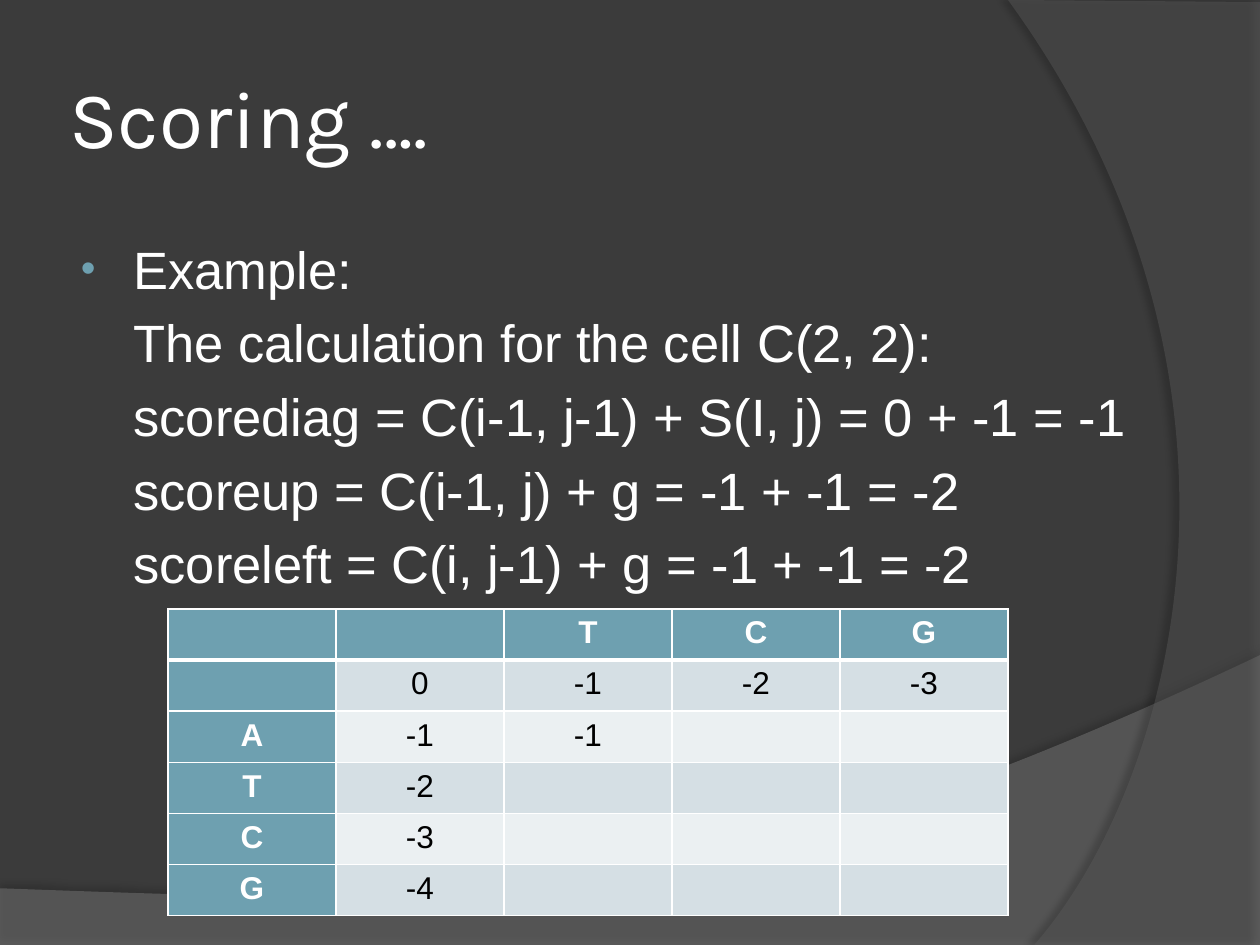
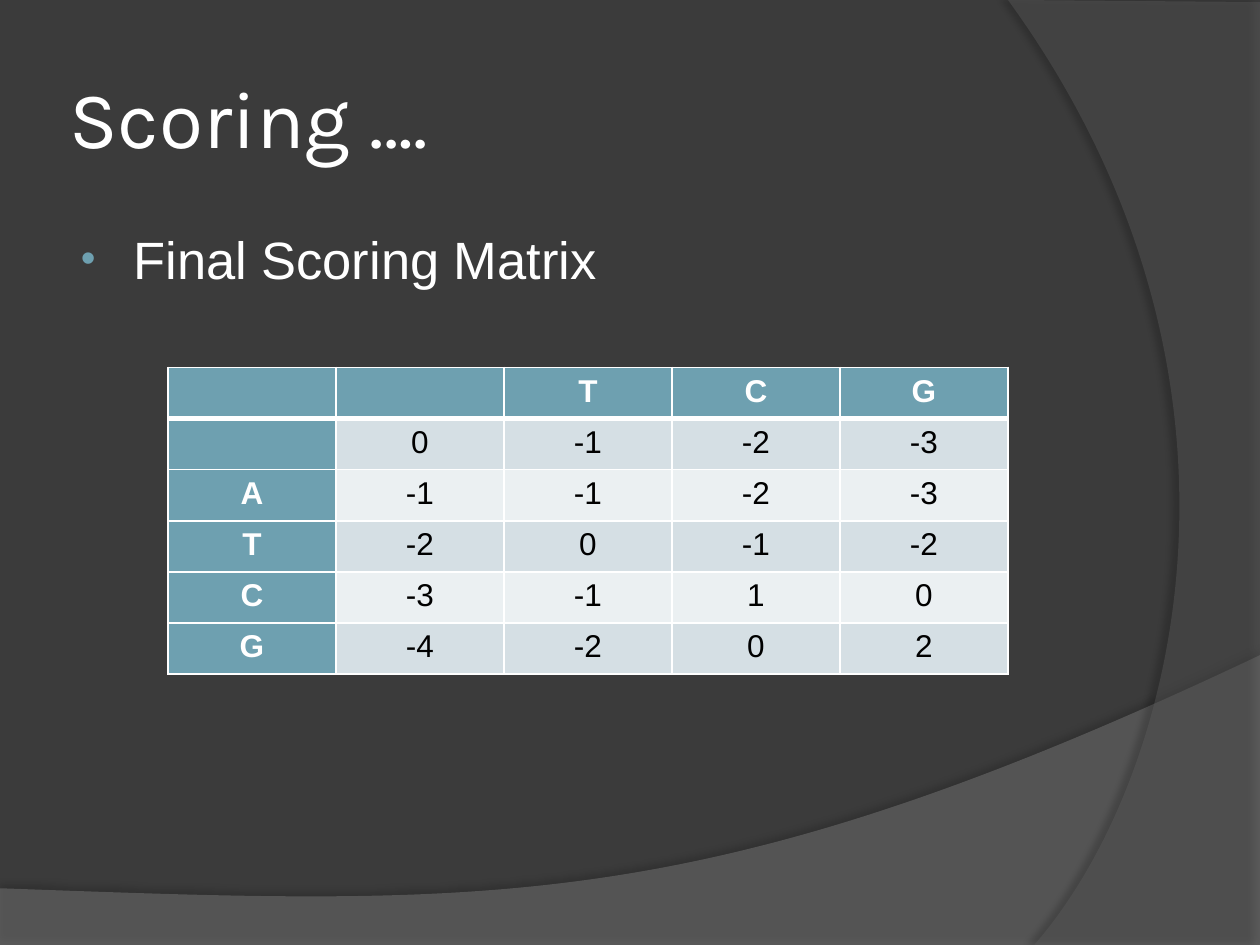
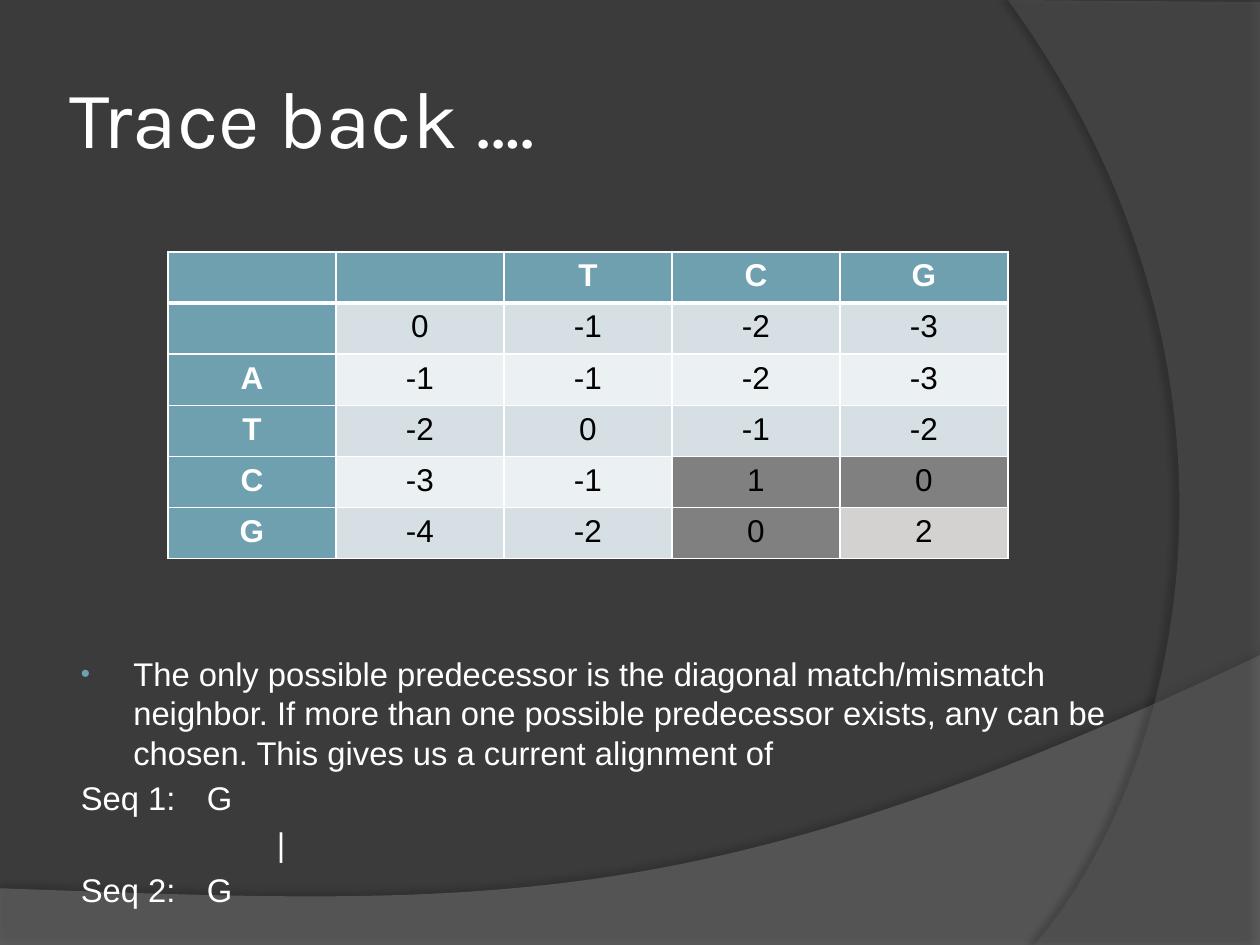
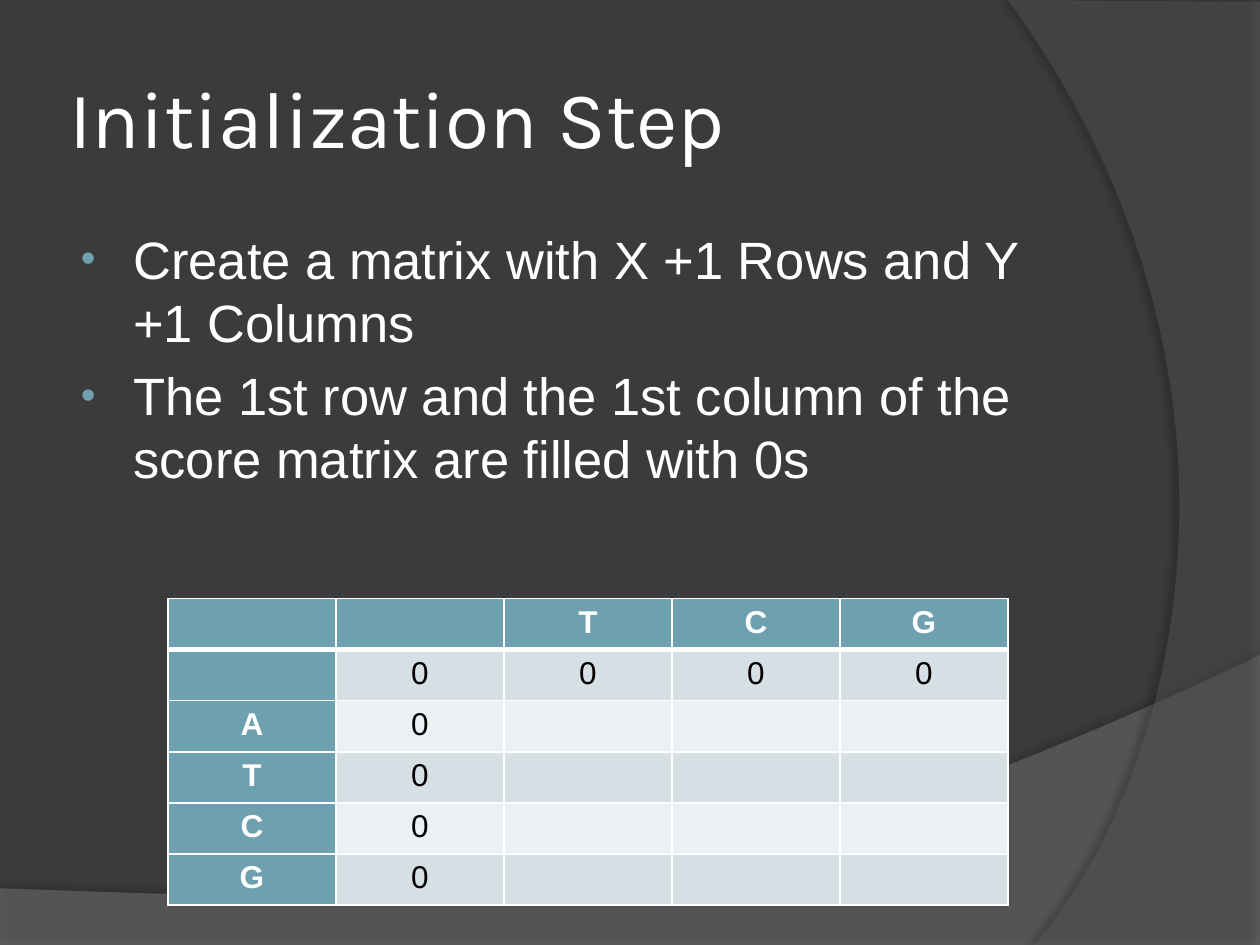
"""Build four slides on scoring and tracing back a sequence alignment matrix."""
from lxml import etree
from pptx import Presentation
from pptx.dml.color import RGBColor
from pptx.enum.text import MSO_ANCHOR, MSO_AUTO_SIZE, PP_ALIGN
from pptx.oxml.ns import qn
from pptx.util import Pt

LEFT, CENTER = PP_ALIGN.LEFT, PP_ALIGN.CENTER
TOP, MIDDLE = MSO_ANCHOR.TOP, MSO_ANCHOR.MIDDLE
NO_AUTOFIT = MSO_AUTO_SIZE.NONE

WIDTH, HEIGHT = 720, 540
BACKGROUND, WHITE, BLACK = "3B3B3B", "FFFFFF", "000000"
ACCENT, BAND_DARK, BAND_LIGHT = "6EA0B0", "D5DFE4", "EBF0F2"
CANDIDATE, CURRENT = "808080", "D4D2D0"
TITLE_FONT, BODY_FONT = "Karla", "Arial"
TITLE_BOX = (36, 21.6, 588, 90)
TABLE_LEFT, COLUMN_WIDTH, ROW_HEIGHT = 96, 96, 29.2
INSET, BULLET_MARGIN, HANGING = 3.6, 33, 30
PLAIN_MARGIN, TAB_STOP, MARK_MARGIN = 3, 69, 115


def color(hex_code):
    return RGBColor.from_string(hex_code)


def add_element(parent, tag, **attributes):
    element = etree.SubElement(parent, qn(tag))
    for name, value in attributes.items():
        element.set(name, str(value))
    return element


HEADER = ["", "", "T", "C", "G"]
FINAL_MATRIX = [
    HEADER,
    ["", "0", "-1", "-2", "-3"],
    ["A", "-1", "-1", "-2", "-3"],
    ["T", "-2", "0", "-1", "-2"],
    ["C", "-3", "-1", "1", "0"],
    ["G", "-4", "-2", "0", "2"],
]
FIRST_CELL_MATRIX = [
    row if index < 2 else row[:2] + [row[2] if index == 2 else "", "", ""]
    for index, row in enumerate(FINAL_MATRIX)
]
ZERO_MATRIX = [HEADER, [""] + ["0"] * 4] + [[base, "0", "", "", ""] for base in "ATCG"]

# Each line of a body is (text, left margin, whether it has a bullet).
DECK = [
    {
        "title": "Scoring ….",
        "body_box": (36, 131.8, 648, 396),
        "top_inset": INSET,
        "size": 30,
        "lines": [
            ("Example:", BULLET_MARGIN, True),
            ("The calculation for the cell C(2, 2):", BULLET_MARGIN, False),
            ("scorediag = C(i-1, j-1) + S(I, j) = 0 + -1 = -1", BULLET_MARGIN, False),
            ("scoreup = C(i-1, j) + g = -1 + -1 = -2", BULLET_MARGIN, False),
            ("scoreleft = C(i, j-1) + g = -1 + -1 = -2", BULLET_MARGIN, False),
        ],
        "table_top": 348,
        "matrix": FIRST_CELL_MATRIX,
        "highlights": {},
    },
    {
        "title": "Scoring ….",
        "body_box": (36, 126, 588, 356.4),
        "top_inset": INSET,
        "size": 30,
        "lines": [("Final Scoring Matrix", BULLET_MARGIN, True)],
        "table_top": 210,
        "matrix": FINAL_MATRIX,
        "highlights": {},
    },
    {
        "title": "Trace back ….",
        "body_box": (36, 108, 648, 420),
        "top_inset": 265.6,
        "size": 18.7,
        "lines": [
            ("The only possible predecessor is the diagonal match/mismatch neighbor. "
             "If more than one possible predecessor exists, any can be chosen. "
             "This gives us a current alignment of", BULLET_MARGIN, True),
            ("Seq 1:\tG", PLAIN_MARGIN, False),
            ("|", MARK_MARGIN, False),
            ("Seq 2:\tG", PLAIN_MARGIN, False),
        ],
        "table_top": 144,
        "matrix": FINAL_MATRIX,
        "highlights": {(4, 3): CANDIDATE, (4, 4): CANDIDATE,
                       (5, 3): CANDIDATE, (5, 4): CURRENT},
    },
    {
        "title": "Initialization Step",
        "body_box": (36, 126, 588, 356.4),
        "top_inset": INSET,
        "size": 30,
        "lines": [
            ("Create a matrix with X +1 Rows and Y +1 Columns", BULLET_MARGIN, True),
            ("The 1st row and the 1st column of the score matrix are filled with 0s",
             BULLET_MARGIN, True),
        ],
        "table_top": 342,
        "matrix": ZERO_MATRIX,
        "highlights": {},
    },
]

presentation = Presentation()
presentation.slide_width, presentation.slide_height = Pt(WIDTH), Pt(HEIGHT)
master = presentation.slide_master
master.background.fill.solid()
master.background.fill.fore_color.rgb = color(BACKGROUND)
layout = presentation.slide_layouts[1]
for other_layout in list(presentation.slide_layouts):
    if other_layout is not layout and other_layout.name != layout.name:
        presentation.slide_layouts.remove(other_layout)
for template in (layout, master):
    for placeholder in list(template.placeholders)[2:]:
        template.shapes.element.remove(placeholder.element)
slides = [presentation.slides.add_slide(layout) for _ in DECK]

# Corners in order, control points back to the first corner, then fill and shadow.
WAVES = [
    ([(0, 507.6), (0, 540), (720, 540), (720, 374.4)],
     [(402.5, 524.9), (281.5, 517.7)], "7F7F7F", 45, 35, 3.5, 270),
    ([(576, 0), (720, 1.2), (720, 540), (591, 540)],
     [(673.2, 445.7), (733, 216)], "5E5E5E", 40, 45, 4, 180),
]
for position, (corners, controls, fill, alpha, shadow_alpha, distance, angle) in enumerate(WAVES):
    outline = [(Pt(x), Pt(y)) for x, y in corners]
    builder = slides[0].shapes.build_freeform(*outline[0])
    builder.add_line_segments(outline[1:], close=True)
    wave = builder.convert_to_shape()
    wave.fill.solid()
    wave.fill.fore_color.rgb = color(fill)
    wave.line.fill.background()
    properties = wave.element.spPr
    closing = properties.find(".//" + qn("a:close"))
    curve = etree.Element(qn("a:cubicBezTo"))
    closing.addprevious(curve)
    for x, y in controls + corners[:1]:
        add_element(curve, "a:pt", x=Pt(x) - wave.left, y=Pt(y) - wave.top)
    add_element(properties.find(qn("a:solidFill"))[0], "a:alpha", val=alpha * 1000)
    shadow = add_element(add_element(properties, "a:effectLst"), "a:outerShdw",
                         blurRad=Pt(4), dist=Pt(distance), dir=angle * 60000,
                         algn="ctr", rotWithShape=0)
    add_element(add_element(shadow, "a:srgbClr", val=BLACK), "a:alpha", val=shadow_alpha * 1000)
    wave.element.nvSpPr.cNvPr.set("id", str(101 + position))
    master.shapes.element.insert(2 + position, wave.element)

for slide, content in zip(slides, DECK):
    title, body = slide.placeholders
    for shape, box in ((title, TITLE_BOX), (body, content["body_box"])):
        shape.left, shape.top, shape.width, shape.height = map(Pt, box)
        shape.text_frame.word_wrap = True
        shape.text_frame.auto_size = NO_AUTOFIT

    frame = title.text_frame
    frame.text = content["title"]
    frame.vertical_anchor = MIDDLE
    frame.margin_left = frame.margin_right = frame.margin_top = frame.margin_bottom = Pt(INSET)
    frame.paragraphs[0].alignment = LEFT
    font = frame.paragraphs[0].runs[0].font
    font.name, font.size, font.color.rgb = TITLE_FONT, Pt(46), color(WHITE)

    frame = body.text_frame
    frame.vertical_anchor = TOP
    frame.margin_top = Pt(content["top_inset"])
    frame.text = "\n".join(text for text, _, _ in content["lines"])
    for index, (paragraph, line) in enumerate(zip(frame.paragraphs, content["lines"])):
        text, margin, bulleted = line
        paragraph.alignment = LEFT
        paragraph.space_before = Pt(round(content["size"] * 0.2, 1) if index else 0)
        properties = paragraph._p.get_or_add_pPr()
        properties.set("marL", str(Pt(margin)))
        properties.set("indent", str(Pt(-HANGING if bulleted else 0)))
        if bulleted:
            add_element(add_element(properties, "a:buClr"), "a:srgbClr", val=ACCENT)
            add_element(properties, "a:buSzPct", val=80000)
            add_element(properties, "a:buFont", typeface=BODY_FONT)
            add_element(properties, "a:buChar", char="•")
        else:
            add_element(properties, "a:buNone")
        if "\t" in text:
            add_element(add_element(properties, "a:tabLst"), "a:tab", pos=Pt(TAB_STOP), algn="l")
        for run in paragraph.runs:
            run.font.name, run.font.size = BODY_FONT, Pt(content["size"])
            run.font.color.rgb = color(WHITE)

    matrix = content["matrix"]
    row_count, column_count = len(matrix), len(HEADER)
    table = slide.shapes.add_table(
        row_count, column_count, Pt(TABLE_LEFT), Pt(content["table_top"]),
        Pt(COLUMN_WIDTH * column_count), Pt(ROW_HEIGHT * row_count)).table
    table.first_col = True
    for row_index, values in enumerate(matrix):
        for column_index, value in enumerate(values):
            cell = table.cell(row_index, column_index)
            is_header = row_index == 0 or column_index == 0
            for side in ("L", "R", "T", "B"):
                heavy = (row_index, side) in ((0, "B"), (1, "T"))
                border = add_element(cell._tc.get_or_add_tcPr(), f"a:ln{side}",
                                     w=Pt(3 if heavy else 1))
                add_element(add_element(border, "a:solidFill"), "a:srgbClr", val=WHITE)
            band = BAND_DARK if row_index % 2 else BAND_LIGHT
            fill = ACCENT if is_header else content["highlights"].get((row_index, column_index), band)
            cell.fill.solid()
            cell.fill.fore_color.rgb = color(fill)
            if value:
                cell.text_frame.text = value
                paragraph = cell.text_frame.paragraphs[0]
                paragraph.alignment = CENTER
                font = paragraph.runs[0].font
                font.name, font.size, font.bold = BODY_FONT, Pt(18), is_header
                font.color.rgb = color(WHITE if is_header else BLACK)

presentation.save("out.pptx")
